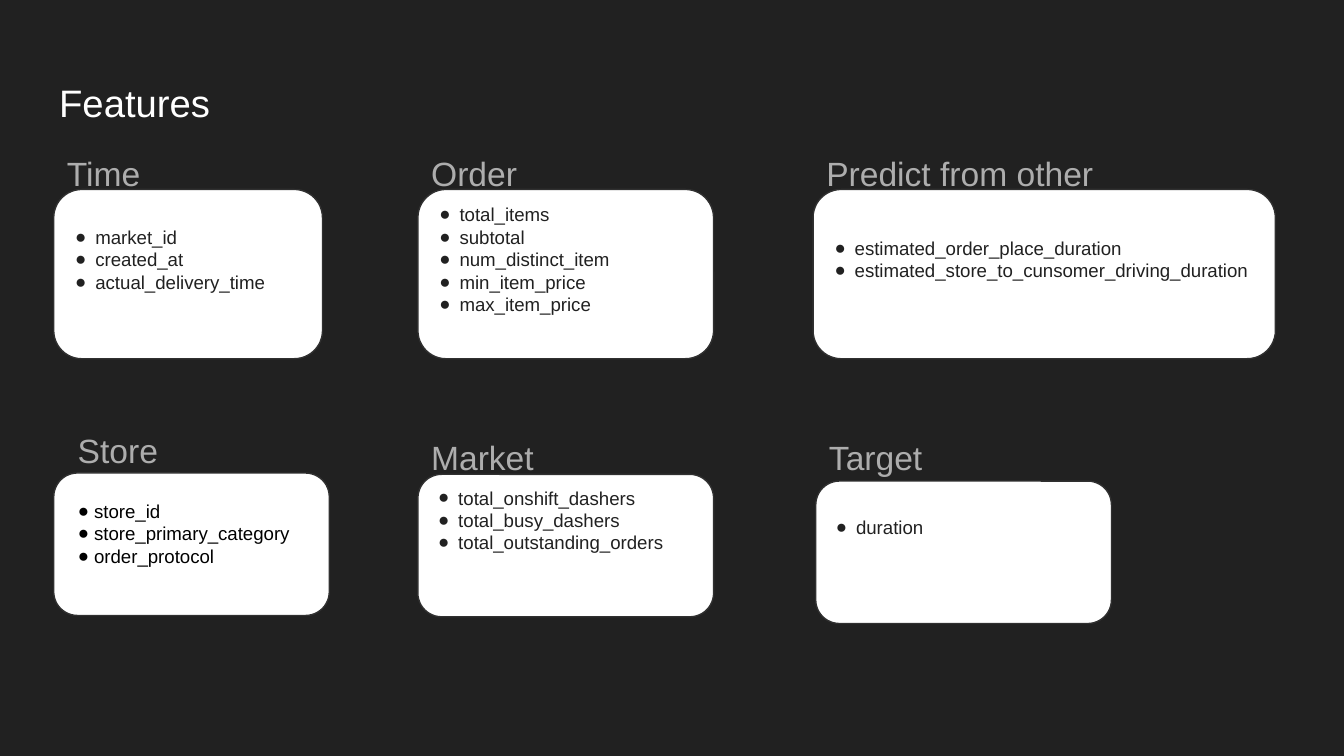
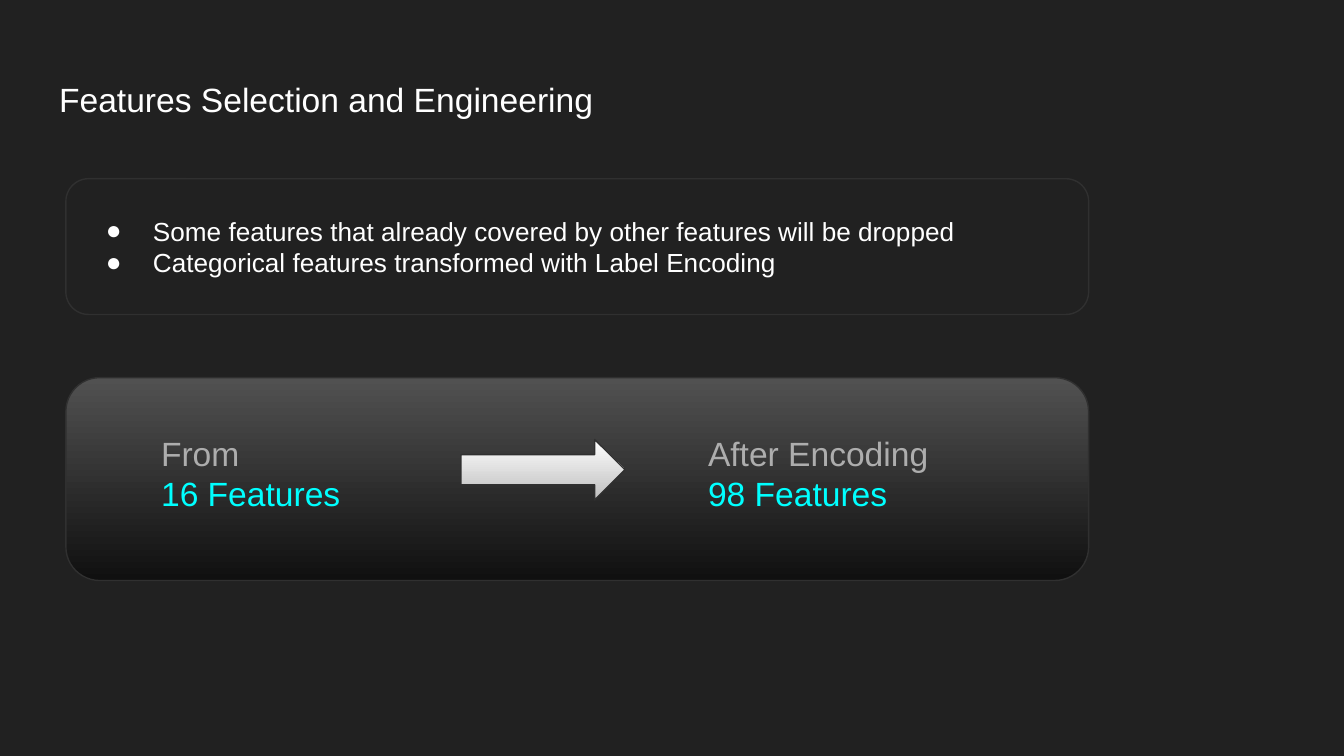
import pptx
import pptx.util
from lxml import etree
from pptx.dml.color import RGBColor
from pptx.enum.shapes import MSO_SHAPE
from pptx.enum.text import MSO_ANCHOR, MSO_AUTO_SIZE, PP_ALIGN
from pptx.oxml.ns import qn
from pptx.util import Inches

# Shared look
FONT = "Arial"
DARK = RGBColor(0x21, 0x21, 0x21)
WHITE = RGBColor(0xFF, 0xFF, 0xFF)
BLACK = RGBColor(0x00, 0x00, 0x00)
GREY = RGBColor(0xAD, 0xAD, 0xAD)
CYAN = RGBColor(0x00, 0xFF, 0xFF)
OUTLINE = RGBColor(0x30, 0x30, 0x30)
PANEL_TOP = RGBColor(0x51, 0x51, 0x51)
PANEL_BOTTOM = RGBColor(0x10, 0x10, 0x10)
ARROW_BOTTOM = RGBColor(0xBE, 0xBE, 0xBE)
INSET = 0.1
HEADING_SIZE = 18
HEADING_HEIGHT = 0.37

# Feature cards: heading, heading offset and width, card box,
# free space below the items, items
FEATURE_CARDS = [
    ("Time", (0, -0.37, 1.09), (0.4, 1.41, 2, 1.26), 0.22,
     ["market_id", "created_at", "actual_delivery_time"]),
    ("Order", (0, -0.37, 1.09), (3.11, 1.41, 2.2, 1.26), 0.22,
     ["total_items", "subtotal", "num_distinct_item", "min_item_price",
      "max_item_price"]),
    ("Predict from other", (0, -0.37, 2.3), (6.05, 1.41, 3.44, 1.26), 0.22,
     ["estimated_order_place_duration",
      "estimated_store_to_cunsomer_driving_duration"]),
    ("Store", (0.08, -0.42, 1.09), (0.4, 3.52, 2.05, 1.06), 0.16,
     ["store_id", "store_primary_category", "order_protocol"]),
    ("Market", (0, -0.38, 1.09), (3.11, 3.53, 2.2, 1.06), 0.38,
     ["total_onshift_dashers", "total_busy_dashers",
      "total_outstanding_orders"]),
    ("Target", (0, -0.43, 2.3), (6.07, 3.58, 2.2, 1.06), 0.38, ["duration"]),
]


def set_bullet(paragraph, color, indent):
    """Give a paragraph a round bullet; indent is (margin, first line)."""
    margin, first_line = indent
    properties = paragraph._p.get_or_add_pPr()
    properties.set("marL", str(Inches(margin)))
    properties.set("indent", str(Inches(first_line)))
    bullet_color = etree.SubElement(properties, qn("a:buClr"))
    etree.SubElement(bullet_color, qn("a:srgbClr"), val=str(color))
    etree.SubElement(properties, qn("a:buFont"), typeface=FONT)
    etree.SubElement(properties, qn("a:buChar"), char="●")


def add_line(frame, text, *, size, color, indent=None):
    """Write one paragraph, reusing the empty first one."""
    paragraph = frame.paragraphs[0]
    if paragraph.runs:
        paragraph = frame.add_paragraph()
    paragraph.alignment = PP_ALIGN.LEFT
    if indent:
        set_bullet(paragraph, color, indent)
    run = paragraph.add_run()
    run.text = text
    run.font.name = FONT
    run.font.size = pptx.util.Pt(size)
    run.font.color.rgb = color


def prepare_frame(frame, anchor, space_below=0):
    frame.word_wrap = True
    frame.auto_size = MSO_AUTO_SIZE.NONE
    frame.vertical_anchor = anchor
    frame.margin_left = frame.margin_right = frame.margin_top = Inches(INSET)
    frame.margin_bottom = Inches(INSET + space_below)
    return frame


def add_text(slide, box, lines):
    label = slide.shapes.add_textbox(*map(Inches, box))
    frame = prepare_frame(label.text_frame, MSO_ANCHOR.TOP)
    for text, color in lines:
        add_line(frame, text, size=HEADING_SIZE, color=color)


def add_outlined(slide, preset, box, *colors):
    """Draw a preset shape, filled plain or with a top-to-bottom gradient."""
    shape = slide.shapes.add_shape(preset, *map(Inches, box))
    shape.shadow.inherit = False
    if len(colors) == 1:
        shape.fill.solid()
        shape.fill.fore_color.rgb = colors[0]
    else:
        shape.fill.gradient()
        shape.fill.gradient_angle = 270
        for stop, color in zip(shape.fill.gradient_stops, colors):
            stop.color.rgb = color
    shape.line.color.rgb = OUTLINE
    shape.line.width = pptx.util.Pt(0.75)
    return shape


def add_titled_slide(deck, text, size, height):
    slide = deck.slides.add_slide(deck.slide_layouts[5])
    title = slide.shapes.title
    title.left, title.top = Inches(0.34), Inches(0.49)
    title.width, title.height = Inches(9.32), Inches(height)
    frame = prepare_frame(title.text_frame, MSO_ANCHOR.TOP)
    add_line(frame, text, size=size, color=WHITE)
    return slide


def add_bullet_card(slide, box, items, *, fill, color, size, indent,
                    space_below=0):
    card = add_outlined(slide, MSO_SHAPE.ROUNDED_RECTANGLE, box, fill)
    frame = prepare_frame(card.text_frame, MSO_ANCHOR.MIDDLE, space_below)
    for item in items:
        add_line(frame, item, size=size, color=color, indent=indent)


def add_feature_card(slide, heading, heading_place, box, space_below, items):
    """Place a white card in the box and its heading above it."""
    is_store = heading == "Store"
    add_bullet_card(slide, box, items, fill=WHITE, size=10,
                    color=BLACK if is_store else DARK,
                    indent=(0.15, -0.12 if is_store else -0.16),
                    space_below=space_below)
    left, top, _, _ = box
    shift, rise, width = heading_place
    add_text(slide, (left + shift, top + rise, width, HEADING_HEIGHT),
             [(heading, GREY)])


def add_encoding_panel(slide, box):
    """Show the feature count before and after encoding."""
    left, top, _, _ = box
    add_outlined(slide, MSO_SHAPE.ROUNDED_RECTANGLE, box,
                 PANEL_TOP, PANEL_BOTTOM)
    for stage, count, offset, width in [
        ("From", "16 Features", 0.61, 1.75),
        ("After Encoding", "98 Features", 4.68, 2.57),
    ]:
        add_text(slide, (left + offset, top + 0.31, width, 0.83),
                 [(stage, GREY), (count, CYAN)])
    add_outlined(slide, MSO_SHAPE.RIGHT_ARROW,
                 (left + 2.94, top + 0.46, 1.22, 0.45), WHITE, ARROW_BOTTOM)


def build_features(deck):
    slide = add_titled_slide(deck, "Features", 20.5, 0.37)
    for card in FEATURE_CARDS:
        add_feature_card(slide, *card)


def build_selection(deck):
    slide = add_titled_slide(deck, "Features Selection and Engineering",
                             18, 0.53)
    add_bullet_card(
        slide, (0.49, 1.33, 7.61, 1.01),
        ["Some features that already covered by other features will be dropped",
         "Categorical features transformed with Label Encoding"],
        fill=DARK, color=WHITE, size=14, indent=(0.5, -0.35))
    add_encoding_panel(slide, (0.49, 2.81, 7.61, 1.51))


def main():
    deck = pptx.Presentation()
    # Widescreen, 16:9
    deck.slide_width = Inches(10)
    deck.slide_height = Inches(10 * 9 / 16)
    background = deck.slide_master.background.fill
    background.solid()
    background.fore_color.rgb = DARK
    build_features(deck)
    build_selection(deck)
    deck.save("out.pptx")


if __name__ == "__main__":
    main()
